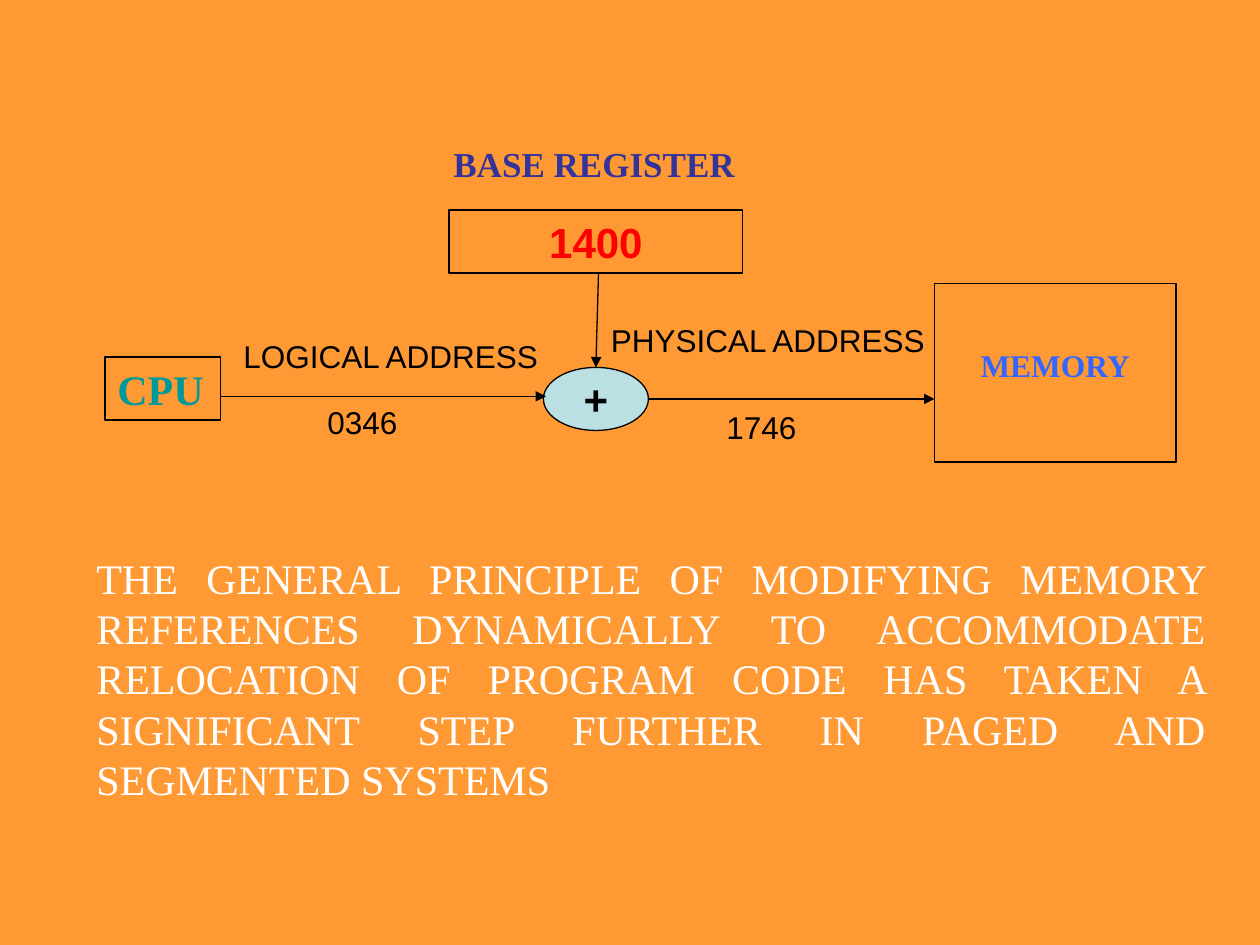
from lxml.etree import SubElement
from pptx import Presentation
from pptx.dml.color import RGBColor
from pptx.enum.shapes import MSO_CONNECTOR as Connector, MSO_SHAPE as Shape
from pptx.enum.text import MSO_ANCHOR as Anchor, PP_ALIGN as Align
from pptx.oxml.ns import qn
from pptx.util import Inches, Pt

SERIF, SANS = "Times New Roman", "Arial"
BLACK = "000000"


def color(value):
    return RGBColor.from_string(value)


def grid(*units):
    """Turn grid units, twelve to the inch, into lengths."""
    return [Inches(unit / 12) for unit in units]


class Diagram:
    """Holds the line style and the page that is being drawn."""

    def __init__(self, page, background):
        self.page = page
        self.line_width = Pt(0.75)
        page.background.fill.solid()
        page.background.fill.fore_color.rgb = color(background)

    def set_text(self, shape, text, size, font, ink, bold, align):
        frame = shape.text_frame
        frame.word_wrap = True
        frame.text = text
        para = frame.paragraphs[0]
        para.alignment = align
        span = para.runs[0]
        span.font.size, span.font.name, span.font.bold = Pt(size), font, bold
        span.font.color.rgb = color(ink)

    def outline(self, line):
        line.color.rgb = color(BLACK)
        line.width = self.line_width

    def node(self, kind, place, text, size, font, ink, fill=None, align=Align.CENTER):
        shape = self.page.shapes.add_shape(kind, *grid(*place))
        shape.shadow.inherit = False
        if fill:
            shape.fill.solid()
            shape.fill.fore_color.rgb = color(fill)
        else:
            shape.fill.background()
        self.outline(shape.line)
        self.set_text(shape, text, size, font, ink, True, align)
        shape.text_frame.vertical_anchor = Anchor.MIDDLE
        return shape

    def label(self, place, text, size=18, font=SANS, ink=BLACK, bold=False, align=Align.LEFT):
        box = self.page.shapes.add_textbox(*grid(*place))
        self.set_text(box, text, size, font, ink, bold, align)

    def arrow(self, *ends):
        arrow = self.page.shapes.add_connector(Connector.STRAIGHT, *grid(*ends))
        self.outline(arrow.line)
        properties = arrow._element.spPr
        SubElement(properties.find(qn("a:ln")), qn("a:tailEnd"), type="triangle")
        SubElement(properties, qn("a:effectLst"))


def main():
    deck = Presentation()
    deck.slide_width, deck.slide_height = Inches(10), Inches(7.5)
    diagram = Diagram(deck.slides.add_slide(deck.slide_layouts[6]), "FF9933")

    diagram.node(Shape.RECTANGLE, (10, 34, 11, 6), "CPU", 24, SERIF, "009999", align=Align.LEFT)
    adder = diagram.node(Shape.OVAL, (51.75, 35, 10, 6), "+", 24, SANS, BLACK, fill="BBE0E3")
    adder.text_frame.word_wrap = False
    memory = diagram.node(Shape.RECTANGLE, (89, 27, 23, 17), "MEMORY", 18, SERIF, "3366FF")
    memory.text_frame.margin_bottom = Inches(0.17)
    diagram.node(Shape.RECTANGLE, (42.75, 20, 28, 6), "1400", 24, SANS, "FF0000")

    diagram.arrow(61.75, 38, 89, 38)
    diagram.arrow(57, 26, 56.75, 35)
    diagram.arrow(21, 37.75, 52, 37.75)

    diagram.label((22, 31.5, 36, 4.8), "LOGICAL ADDRESS")
    diagram.label((57, 30, 36, 4.8), "PHYSICAL ADDRESS")
    diagram.label((30, 37.75, 21, 4.8), "0346")
    diagram.label((68, 38.25, 22, 4.8), "1746")
    diagram.label((42, 13, 41, 5.25), "BASE REGISTER", 20, SERIF, "333399", bold=True)
    diagram.label(
        (8, 52, 108, 25.2),
        "THE GENERAL PRINCIPLE OF MODIFYING MEMORY REFERENCES DYNAMICALLY "
        "TO ACCOMMODATE RELOCATION OF PROGRAM CODE HAS TAKEN A SIGNIFICANT "
        "STEP FURTHER IN PAGED AND SEGMENTED SYSTEMS",
        24, SERIF, "FFFFFF", align=Align.JUSTIFY,
    )
    deck.save("out.pptx")


if __name__ == "__main__":
    main()
